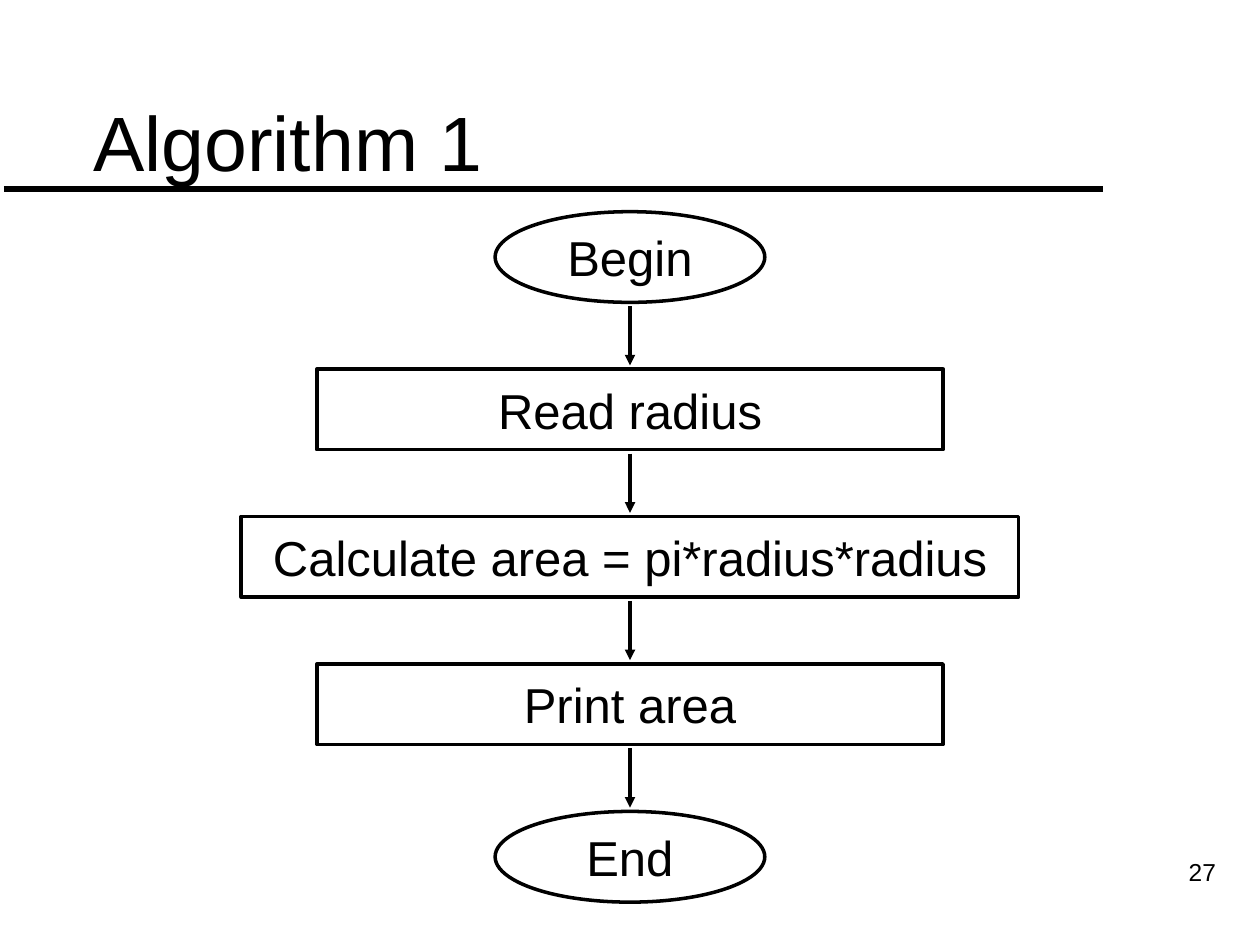
from lxml import etree
from pptx import Presentation
from pptx.dml.color import RGBColor
from pptx.enum import shapes, text
from pptx.oxml.ns import qn
from pptx.util import Inches, Pt

# Content
TITLE = "Algorithm 1"
PAGE_NUMBER = "27"
STEPS = [  # label, kind, width in inches
    ("Begin", "terminal", 2.14),
    ("Read radius", "process", 4.97),
    ("Calculate area = pi*radius*radius", "process", 6.17),
    ("Print area", "process", 4.97),
    ("End", "terminal", 2.14),
]

THEME = {
    "ink": RGBColor(0, 0, 0),
    "font": "Arial",
    "title": Pt(44),
    "step": Pt(28),
    "page": Pt(14),
    "rule": Pt(4),
    "outline": Pt(2),
}
KINDS = {  # preset shape, height in inches
    "terminal": (shapes.MSO_SHAPE.OVAL, 0.72),
    "process": (shapes.MSO_SHAPE.RECTANGLE, 0.64),
}
CENTER, FLOW_TOP, STEP_GAP, ARROW_MARGIN = 5, 1.68, 0.53, 0.03


def write(shape, words, size, alignment, anchor):
    frame = shape.text_frame
    frame_format = {
        "word_wrap": True,
        "auto_size": text.MSO_AUTO_SIZE.NONE,
        "vertical_anchor": anchor,
    }
    for name, value in frame_format.items():
        setattr(frame, name, value)
    paragraph = frame.paragraphs[0]
    paragraph.text = words
    paragraph.alignment = alignment
    for name, value in {"name": THEME["font"], "size": THEME[size]}.items():
        setattr(paragraph.font, name, value)
    paragraph.font.color.rgb = THEME["ink"]


def add_line(slide, start, end, weight, arrow=False):
    points = [Inches(value) for value in (*start, *end)]
    connector = slide.shapes.add_connector(shapes.MSO_CONNECTOR.STRAIGHT, *points)
    connector.line.color.rgb = THEME["ink"]
    connector.line.width = THEME[weight]
    if arrow:
        outline = connector.line._get_or_add_ln()
        etree.SubElement(outline, qn("a:tailEnd"), type="triangle")
    etree.SubElement(connector._element.spPr, qn("a:effectLst"))


def add_step(slide, label, kind, width, top):
    preset, height = KINDS[kind]
    box = [Inches(value) for value in (CENTER - width / 2, top, width, height)]
    shape = slide.shapes.add_shape(preset, *box)
    shape.shadow.inherit = False
    shape.fill.background()
    shape.line.color.rgb = THEME["ink"]
    shape.line.width = THEME["outline"]
    shape.text_frame.margin_left = shape.text_frame.margin_right = 0
    write(shape, label, "step", text.PP_ALIGN.CENTER, text.MSO_ANCHOR.MIDDLE)
    return top + height


def main():
    presentation = Presentation()
    presentation.slide_width, presentation.slide_height = Inches(10), Inches(7.5)
    slide = presentation.slides.add_slide(presentation.slide_layouts[5])

    # Title and the rule under it
    add_line(slide, (0.03, 1.5), (8.75, 1.5), "rule")
    title = slide.shapes.title
    place = {"left": 0.64, "top": 0.32, "width": 8.5, "height": 1.21}
    for name, value in place.items():
        setattr(title, name, Inches(value))
    write(title, TITLE, "title", text.PP_ALIGN.LEFT, text.MSO_ANCHOR.BOTTOM)

    # Page number
    page = slide.shapes.add_textbox(
        Inches(8.42), Inches(6.75), Inches(1.33), Inches(0.52))
    write(page, PAGE_NUMBER, "page", text.PP_ALIGN.RIGHT, text.MSO_ANCHOR.TOP)

    # Flowchart: equal gaps, each bridged by an arrow that stops short of the shapes
    top = FLOW_TOP
    for index, (label, kind, width) in enumerate(STEPS):
        if index:
            add_line(slide, (CENTER, top - STEP_GAP + ARROW_MARGIN),
                     (CENTER, top - ARROW_MARGIN), "outline", arrow=True)
        top = add_step(slide, label, kind, width, top) + STEP_GAP

    presentation.save("out.pptx")


if __name__ == "__main__":
    main()
